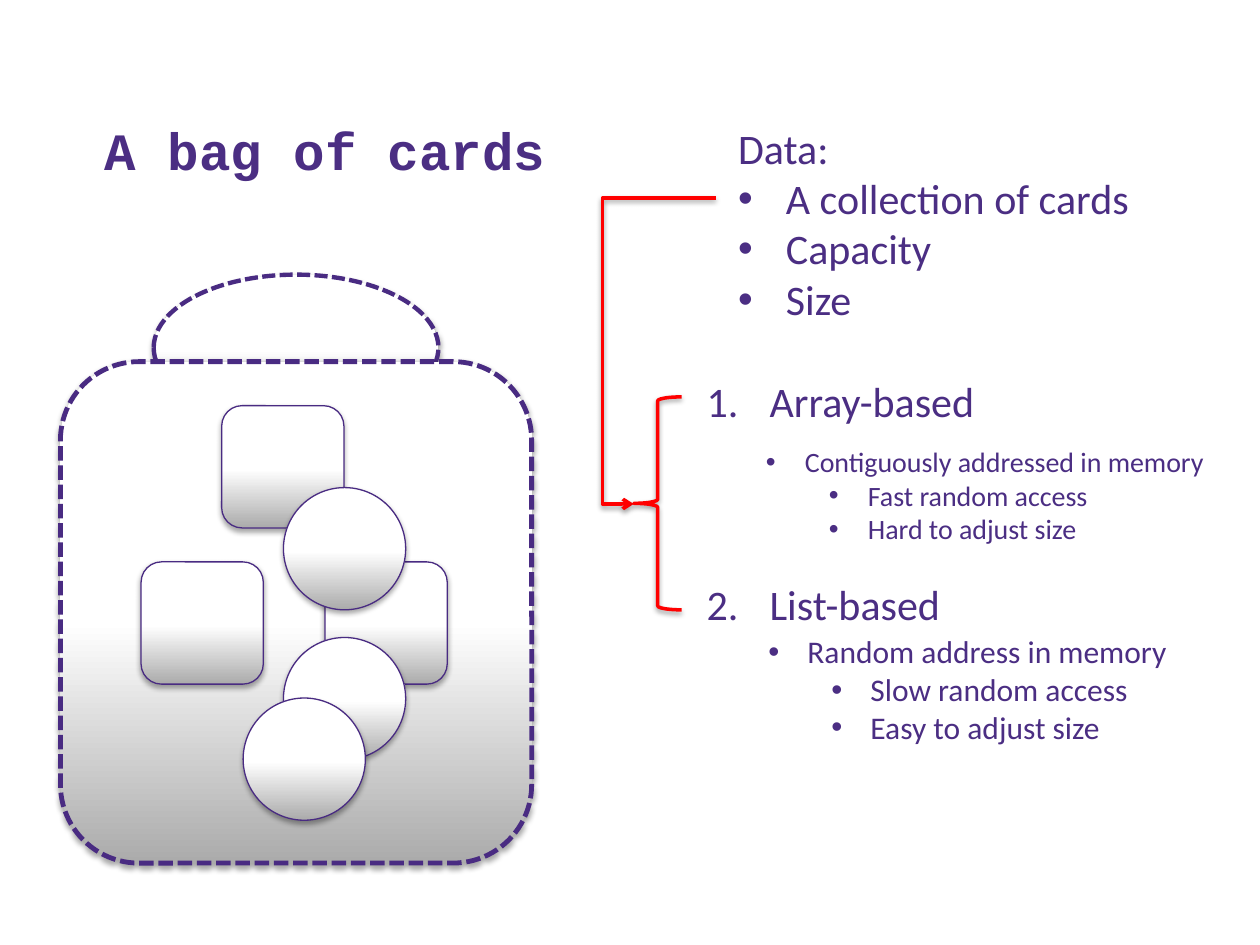
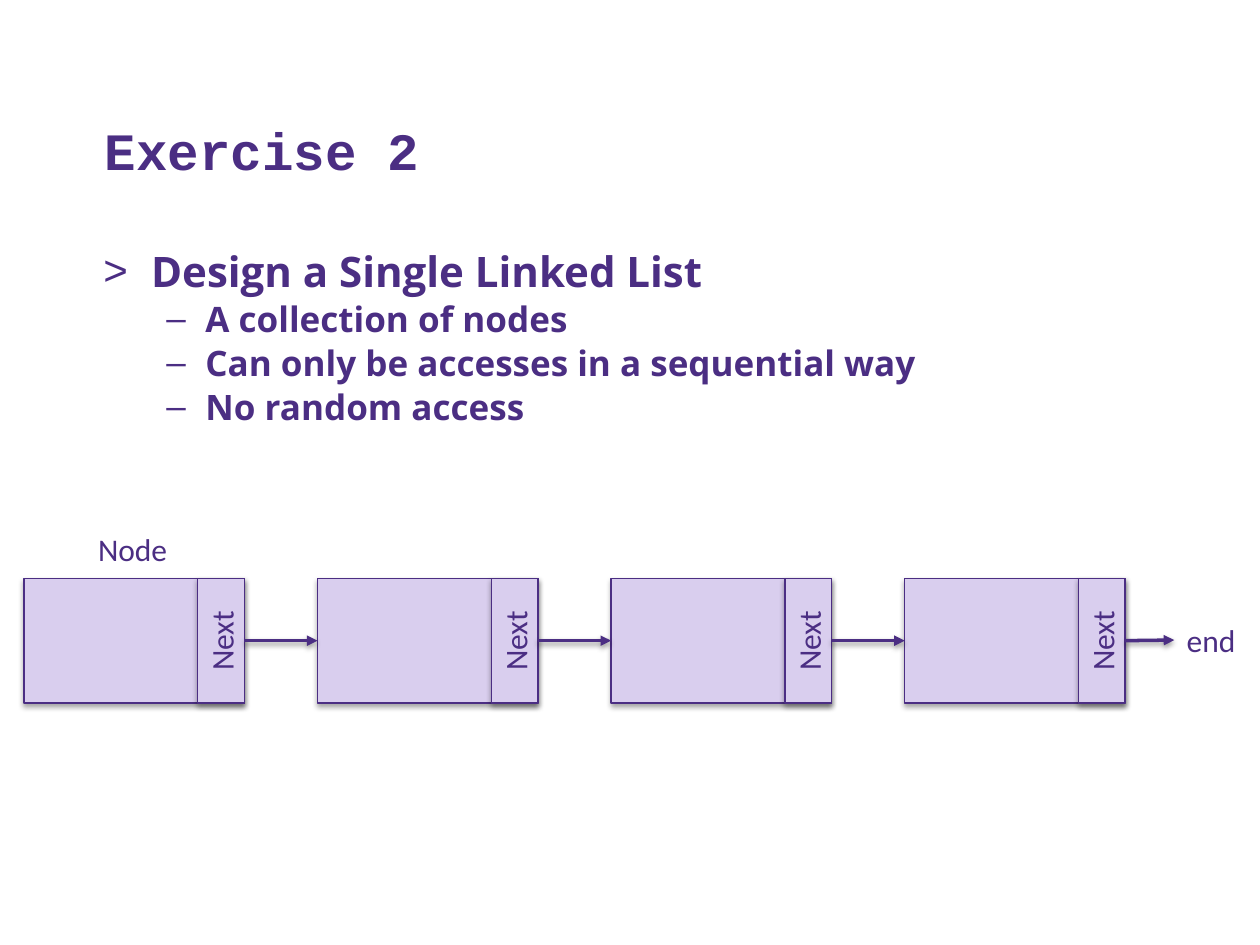
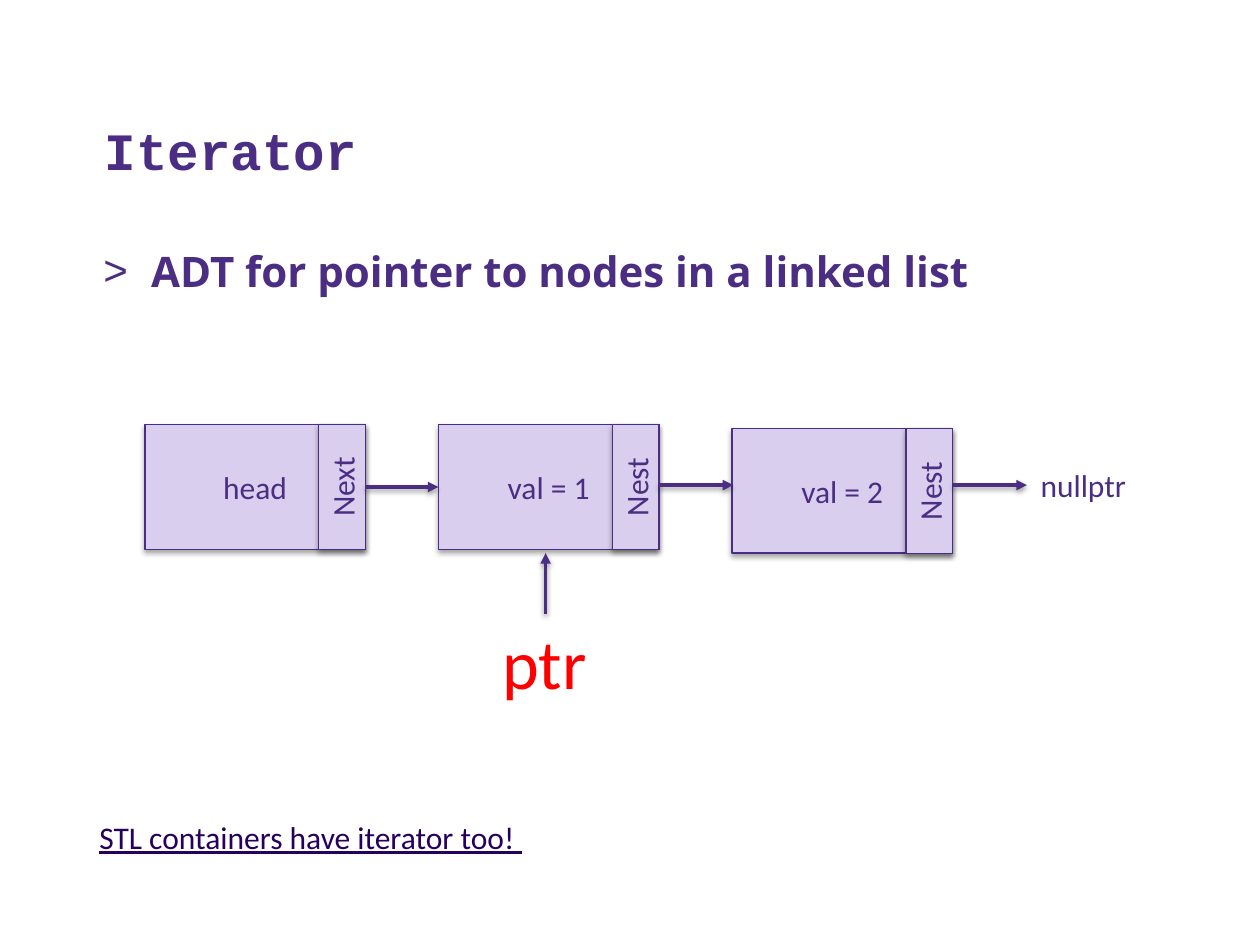
from copy import deepcopy
from dataclasses import dataclass

from lxml import etree
from pptx import Presentation
from pptx.dml.color import RGBColor
from pptx.enum.dml import MSO_LINE
from pptx.enum.shapes import MSO_CONNECTOR, MSO_SHAPE
from pptx.enum.text import MSO_ANCHOR, MSO_AUTO_SIZE, PP_ALIGN
from pptx.oxml.ns import qn
from pptx.util import Inches, Pt

RECTANGLE = MSO_SHAPE.RECTANGLE
ROUNDED = MSO_SHAPE.ROUNDED_RECTANGLE
OVAL = MSO_SHAPE.OVAL
BRACE = MSO_SHAPE.LEFT_BRACE
STRAIGHT = MSO_CONNECTOR.STRAIGHT
ELBOW = MSO_CONNECTOR.ELBOW
DASHED = MSO_LINE.SQUARE_DOT
LEFT, CENTER = PP_ALIGN.LEFT, PP_ALIGN.CENTER
TOP, MIDDLE, BOTTOM = MSO_ANCHOR.TOP, MSO_ANCHOR.MIDDLE, MSO_ANCHOR.BOTTOM
NO_FIT, GROW = MSO_AUTO_SIZE.NONE, MSO_AUTO_SIZE.SHAPE_TO_FIT_TEXT
LEFT_SIDE, RIGHT_SIDE = 1, 3
TITLE_AND_BODY, TITLE_ONLY = 1, 5
NUMBERED = "arabicPeriod"


@dataclass(frozen=True)
class Theme:
    purple: str = "4B2E83"
    outline: str = "492B82"
    lilac: str = "D9CEEE"
    gray: str = "ABABAB"
    white: str = "FFFFFF"
    red: str = "FF0000"
    link: str = "26005C"
    black: str = "000000"
    title_font: str = "Courier New"
    body_font: str = "Open Sans"
    label_font: str = "Calibri"
    title_size: int = 30
    body_size: int = 24
    sub_size: int = 20
    label_size: int = 18
    small_size: int = 16
    pointer_size: int = 40
    thin: float = 0.75
    thick: float = 2


THEME = Theme()


@dataclass(frozen=True)
class Line:
    text: str
    bullet: str = ""
    margin: float = 0
    hanging: float = 0
    level: int = 0
    size: float = 0
    space_before: float = 0


def color(value):
    return RGBColor.from_string(value)


def add_bullet(paragraph, line):
    properties = paragraph._p.get_or_add_pPr()
    properties.set("marL", str(Inches(line.margin)))
    properties.set("indent", str(-Inches(line.hanging)))
    if line.bullet == NUMBERED:
        etree.SubElement(properties, qn("a:buAutoNum"), type=NUMBERED)
    elif line.bullet:
        etree.SubElement(properties, qn("a:buFont"), typeface="Arial")
        etree.SubElement(properties, qn("a:buChar"), char=line.bullet)


def write_text(frame, text, font=THEME.label_font, size=THEME.label_size,
               fill=THEME.purple, bold=False, underline=False,
               align=LEFT, anchor=TOP, wrap=True, fit=NO_FIT):
    frame.word_wrap = wrap
    frame.auto_size = fit
    frame.vertical_anchor = anchor
    lines = [Line(text)] if isinstance(text, str) else text
    for index, line in enumerate(lines):
        paragraph = frame.add_paragraph() if index else frame.paragraphs[0]
        add_bullet(paragraph, line)
        paragraph.level = line.level
        paragraph.alignment = align
        paragraph.space_before = Pt(line.space_before)
        run = paragraph.add_run()
        run.text = line.text
        run.font.name = font
        run.font.size = Pt(line.size or size)
        run.font.bold = bold
        run.font.underline = underline
        run.font.color.rgb = color(fill)


def add_shadow(shape, opacity, distance):
    effects = etree.SubElement(shape._element.spPr, qn("a:effectLst"))
    shadow = etree.SubElement(effects, qn("a:outerShdw"), blurRad=str(Pt(3.1)),
                              dist=str(Pt(distance)), dir="5400000", rotWithShape="0")
    shade = etree.SubElement(shadow, qn("a:srgbClr"), val=THEME.black)
    etree.SubElement(shade, qn("a:alpha"), val=str(opacity * 1000))


def place(shape, left, top, width, height):
    shape.left, shape.top = Inches(left), Inches(top)
    shape.width, shape.height = Inches(width), Inches(height)


class Deck:
    NODE_WIDTH, NODE_HEIGHT, NEXT_WIDTH = 1.75, 0.99, 0.37
    NODE_STEP = 2.33

    def __init__(self, theme):
        self.theme = theme
        self.presentation = Presentation()
        self.presentation.slide_width = Inches(10)
        self.presentation.slide_height = Inches(7.5)
        self.slide = None

    def start(self, title, body=()):
        layout = TITLE_AND_BODY if body else TITLE_ONLY
        self.slide = self.presentation.slides.add_slide(
            self.presentation.slide_layouts[layout])
        shape = self.slide.shapes.title
        place(shape, 0.73, 0.41, 8.95, 1.08)
        write_text(shape.text_frame, title, font=self.theme.title_font,
                   size=self.theme.title_size, bold=True, anchor=BOTTOM)
        if body:
            shape = self.slide.placeholders[1]
            place(shape, 0.72, 1.9, 8.96, 4.39)
            write_text(shape.text_frame, body, font=self.theme.body_font,
                       size=self.theme.body_size, bold=True)

    def text(self, text, left, top, width, height, wrap=False, **style):
        box = self.slide.shapes.add_textbox(
            Inches(left), Inches(top), Inches(width), Inches(height))
        write_text(box.text_frame, text, wrap=wrap, fit=GROW, **style)

    def shape(self, kind, left, top, width, height, fill=None, line=THEME.purple,
              weight=THEME.thin, dash=None, text="", rotation=0, opacity=35, distance=1.8):
        shape = self.slide.shapes.add_shape(
            kind, Inches(left), Inches(top), Inches(width), Inches(height))
        shape.rotation = rotation
        if fill:
            shape.fill.solid()
            shape.fill.fore_color.rgb = color(fill)
        else:
            shape.fill.background()
        shape.line.color.rgb = color(line)
        shape.line.width = Pt(weight)
        if dash:
            shape.line.dash_style = dash
        add_shadow(shape, opacity, distance)
        if text:
            write_text(shape.text_frame, text, align=CENTER, anchor=MIDDLE)
        return shape

    def shaded(self, kind, left, top, width, height, **style):
        shape = self.shape(kind, left, top, width, height, line=self.theme.outline, **style)
        shape.fill.gradient()
        shape.fill.gradient_angle = 90
        stops = shape.fill.gradient_stops
        for stop, position, shade in zip(stops, (0, 0.48), (self.theme.gray, self.theme.white)):
            stop.position = position
            stop.color.rgb = color(shade)
        stop_list = shape._element.spPr.find(".//" + qn("a:gsLst"))
        last = deepcopy(stop_list[-1])
        last.set("pos", "100000")
        stop_list.append(last)

    def arrow(self, start, end, kind=STRAIGHT, line=THEME.purple, head="triangle",
              source=None, target=None, bend=None):
        points = [Inches(value) for value in (*start, *end)]
        connector = self.slide.shapes.add_connector(kind, *points)
        if source:
            connector.begin_connect(source, RIGHT_SIDE)
        if target:
            connector.end_connect(target, LEFT_SIDE)
        connector.line.color.rgb = color(line)
        connector.line.width = Pt(self.theme.thick)
        etree.SubElement(connector.line._get_or_add_ln(), qn("a:tailEnd"), type=head)
        if bend:
            guides = connector._element.spPr.find(".//" + qn("a:avLst"))
            etree.SubElement(guides, qn("a:gd"), name="adj1", fmla=f"val {round(bend * 100000)}")
        add_shadow(connector, 38, 1.6)

    def node(self, left, top, text="", pointer="Next"):
        node = self.shape(RECTANGLE, left, top, self.NODE_WIDTH, self.NODE_HEIGHT,
                          fill=self.theme.lilac, text=text)
        offset = (self.NODE_HEIGHT - self.NEXT_WIDTH) / 2
        pointer_left = left + self.NODE_WIDTH - self.NEXT_WIDTH - offset
        self.shape(RECTANGLE, pointer_left, top + offset, self.NODE_HEIGHT, self.NEXT_WIDTH,
                   fill=self.theme.lilac, text=pointer, rotation=270)
        return node


def bullets(first, *others, size=0):
    return [Line(first, "•", 0.31, 0.31, size=size)] + [
        Line(text, "•", 0.81, 0.31, level=1, size=size) for text in others]


def body_lines(first, *others):
    return [Line(first, ">", 0.38, 0.38)] + [
        Line(text, "–", 0.81, 0.31, level=1, size=THEME.sub_size, space_before=1)
        for text in others]


def bag_slide(deck):
    theme = deck.theme
    deck.start("A bag of cards")
    deck.shaded(OVAL, 1.22, 2.18, 2.26, 1.16, weight=2.5, dash=DASHED)
    deck.shaded(ROUNDED, 0.48, 2.87, 3.74, 3.98, weight=2.75, dash=DASHED)
    cards = [(ROUNDED, 1.76, 3.22), (ROUNDED, 2.58, 4.46), (OVAL, 2.25, 5.06),
             (OVAL, 1.93, 5.54), (ROUNDED, 1.12, 4.46), (OVAL, 2.25, 3.87)]
    for kind, left, top in cards:
        deck.shaded(kind, left, top, 0.97, 0.97)
    data = [Line("Data:")] + [Line(text, "•", 0.38, 0.38) for text in
                              ("A collection of cards", "Capacity", "Size")]
    deck.text(data, 5.76, 0.92, 3.33, 1.72, size=theme.body_size)
    designs = [Line("Array-based", NUMBERED, 0.5, 0.5),
               Line("List-based", NUMBERED, 0.5, 0.5, space_before=87)]
    deck.text(designs, 5.51, 2.93, 2.35, 2.52, size=theme.body_size)
    deck.text(bullets("Contiguously addressed in memory", "Fast random access",
                      "Hard to adjust size"),
              5.98, 3.48, 3.72, 0.91, size=theme.small_size)
    deck.text(bullets("Random address in memory", "Slow random access",
                      "Easy to adjust size"), 6, 4.97, 3.4, 1.01)
    deck.arrow((5.68, 1.57), (5.03, 4), kind=ELBOW, line=theme.red, head="arrow", bend=1.38)
    deck.shape(BRACE, 5.03, 3.15, 0.38, 1.69, line=theme.red, weight=theme.thick,
               opacity=38, distance=1.6)


def linked_list_slide(deck):
    deck.start("Exercise 2", body_lines(
        "Design a Single Linked List", "A collection of nodes",
        "Can only be accesses in a sequential way", "No random access"))
    deck.text("Node", 0.68, 4.16, 0.76, 0.4)
    nodes = [deck.node(0.19 + index * deck.NODE_STEP, 4.59) for index in range(4)]
    for source, target in zip(nodes, nodes[1:]):
        deck.arrow((0, 0), (0, 0), source=source, target=target)
    deck.arrow((8.93, 5.08), (9.32, 5.08), source=nodes[-1])
    deck.text("end", 9.32, 4.88, 0.59, 0.4)


def iterator_slide(deck):
    theme = deck.theme
    deck.start("Iterator", body_lines("ADT for pointer to nodes in a linked list"))
    contents = [("head", "Next", 3.37), ("val = 1", "Nest", 3.37), ("val = 2", "Nest", 3.4)]
    nodes = [deck.node(1.15 + index * deck.NODE_STEP, top, text, pointer)
             for index, (text, pointer, top) in enumerate(contents)]
    deck.arrow((2.9, 3.86), (3.48, 3.86), source=nodes[0], target=nodes[1])
    for left in (5.23, 5.23 + deck.NODE_STEP):
        deck.arrow((left, 3.85), (left + 0.59, 3.85))
    deck.text("nullptr", 8.16, 3.65, 0.89, 0.4)
    deck.arrow((4.33, 4.87), (4.33, 4.39))
    deck.text("ptr", 3.89, 4.87, 0.88, 0.77, size=theme.pointer_size, fill=theme.red)
    deck.text("STL containers have iterator too! ", 0.69, 6.44, 6.87, 0.4,
              wrap=True, fill=theme.link, underline=True)


def main():
    deck = Deck(THEME)
    bag_slide(deck)
    linked_list_slide(deck)
    iterator_slide(deck)
    deck.presentation.save("out.pptx")


if __name__ == "__main__":
    main()
